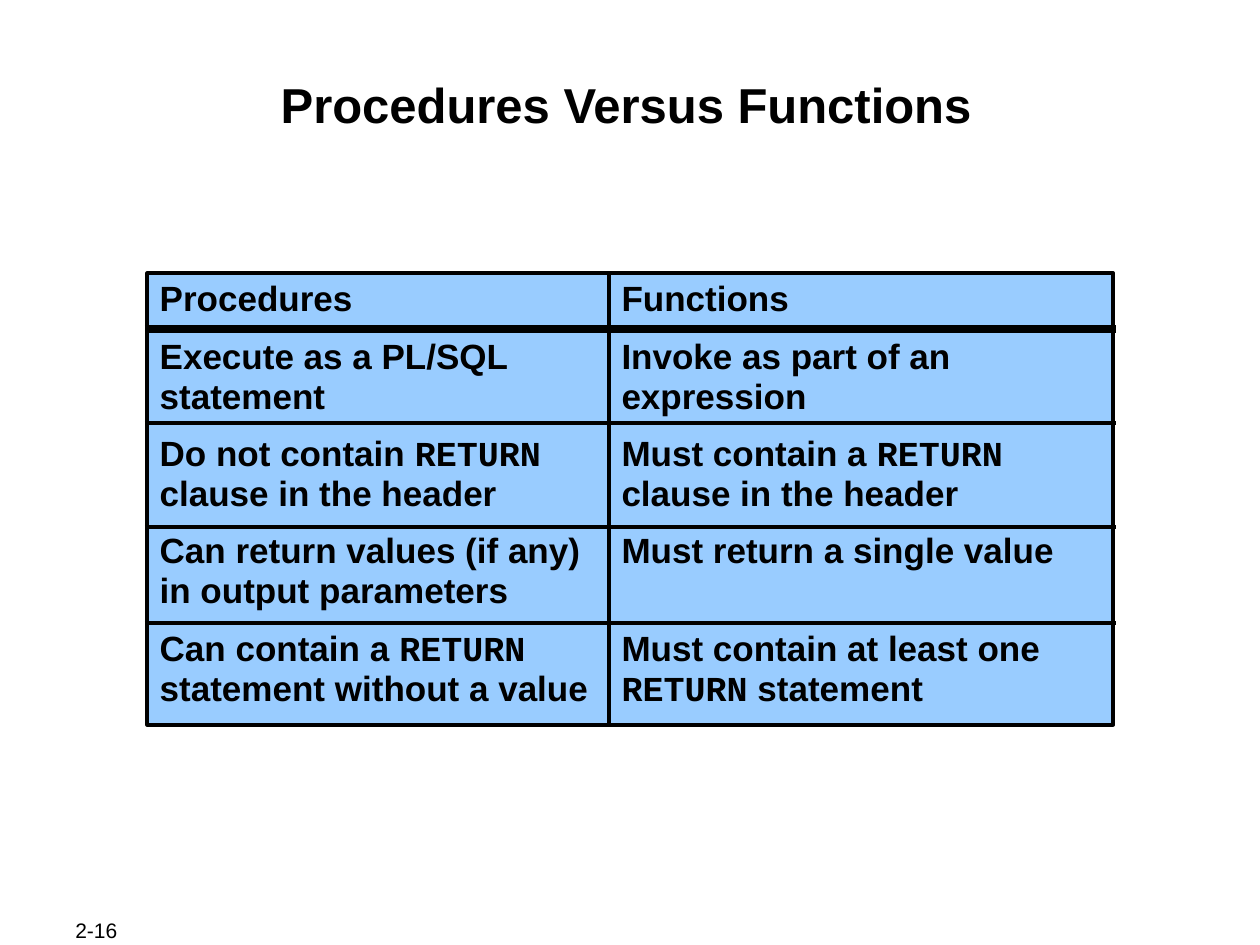
from lxml.etree import SubElement
from pptx import Presentation
from pptx.dml.color import RGBColor
from pptx.enum.shapes import MSO_CONNECTOR, MSO_SHAPE
from pptx.enum.text import MSO_ANCHOR, PP_ALIGN
from pptx.oxml.ns import qn
from pptx.util import Cm, Pt

TITLE = "Procedures Versus Functions"
PAGE = "2-16"
CODE = "RETURN"
BREAK = "\n"
PANELS = [
    (9.31, [
        "Procedures",
        "Execute as a PL/SQL statement",
        "Do not contain RETURN clause in the header",
        "Can return values (if any) in output parameters",
        "Can contain a RETURN statement without a value",
    ]),
    (10.16, [
        "Functions",
        "Invoke as part of an expression",
        "Must contain a RETURN clause in the header",
        "Must return a single value\n",
        "Must contain at least one RETURN statement",
    ]),
]
LEFT, TOP, HEIGHT = 2.97, 5.51, 9.1
OVER = 0.05

THEME = {
    "ink": RGBColor.from_string("000000"),
    "fill": RGBColor.from_string("99CCFF"),
    "font": "Arial", "mono": "Courier New",
    "title": 28, "body": 20, "page": 12,
    "thin": 2.25, "thick": 4.5,
}
RULES = [(6.63, "thick"), (8.53, "thin"), (10.62, "thin"), (12.55, "thin")]


def style(run, size, bold=True, font=THEME["font"]):
    run.font.name = font
    run.font.size = Pt(size)
    run.font.bold = bold
    run.font.color.rgb = THEME["ink"]


def inset(frame, side, edge):
    frame.word_wrap = True
    frame.margin_left = frame.margin_right = Cm(side)
    frame.margin_top = frame.margin_bottom = Cm(edge)


def label(slide, text, area, size, bold, align, anchor, pads):
    frame = slide.shapes.add_textbox(*map(Cm, area)).text_frame
    inset(frame, *pads)
    frame.vertical_anchor = anchor
    frame.text = text
    para = frame.paragraphs[0]
    para.alignment = align
    style(para.runs[0], size, bold)


def write(para, text):
    para.alignment = PP_ALIGN.LEFT
    para.line_spacing = 0.95
    para.space_before = Pt(10)
    for part in filter(None, text.rstrip(BREAK).partition(CODE)):
        run = para.add_run()
        run.text = part
        style(run, THEME["body"], font=THEME["mono" if part == CODE else "font"])
    if text.endswith(BREAK):
        para.add_line_break()
        para.font.size = Pt(THEME["body"])


def panel(slide, left, width, lines):
    box = slide.shapes.add_shape(
        MSO_SHAPE.RECTANGLE, Cm(left), Cm(TOP), Cm(width), Cm(HEIGHT))
    box.shadow.inherit = False
    box.fill.solid()
    box.fill.fore_color.rgb = THEME["fill"]
    box.line.color.rgb = THEME["ink"]
    box.line.width = Pt(THEME["thin"])
    frame = box.text_frame
    inset(frame, 0.25, 0.13)
    frame.vertical_anchor = MSO_ANCHOR.TOP
    for i, text in enumerate(lines):
        write(frame.add_paragraph() if i else frame.paragraphs[0], text)


def rule(slide, start, end, y, weight):
    line = slide.shapes.add_connector(
        MSO_CONNECTOR.STRAIGHT, Cm(start), Cm(y), Cm(end), Cm(y))
    line.line.color.rgb = THEME["ink"]
    line.line.width = Pt(THEME[weight])
    SubElement(line._element.spPr, qn("a:effectLst"))


def main():
    deck = Presentation()
    deck.slide_width, deck.slide_height = Cm(25.4), Cm(19.05)
    slide = deck.slides.add_slide(deck.slide_layouts[6])
    label(slide, PAGE, (1.27, 18.49, 2.69, 0.51), THEME["page"], False,
          PP_ALIGN.LEFT, MSO_ANCHOR.MIDDLE, (0.25, 0))
    label(slide, TITLE, (2.46, 1.47, 20.32, 2.44), THEME["title"], True,
          PP_ALIGN.CENTER, MSO_ANCHOR.TOP, (0.03, 0.03))
    left = LEFT
    for width, lines in PANELS:
        panel(slide, left, width, lines)
        left += width
    for y, weight in RULES:
        rule(slide, LEFT - OVER, left + OVER, y, weight)
    deck.save("out.pptx")


if __name__ == "__main__":
    main()
